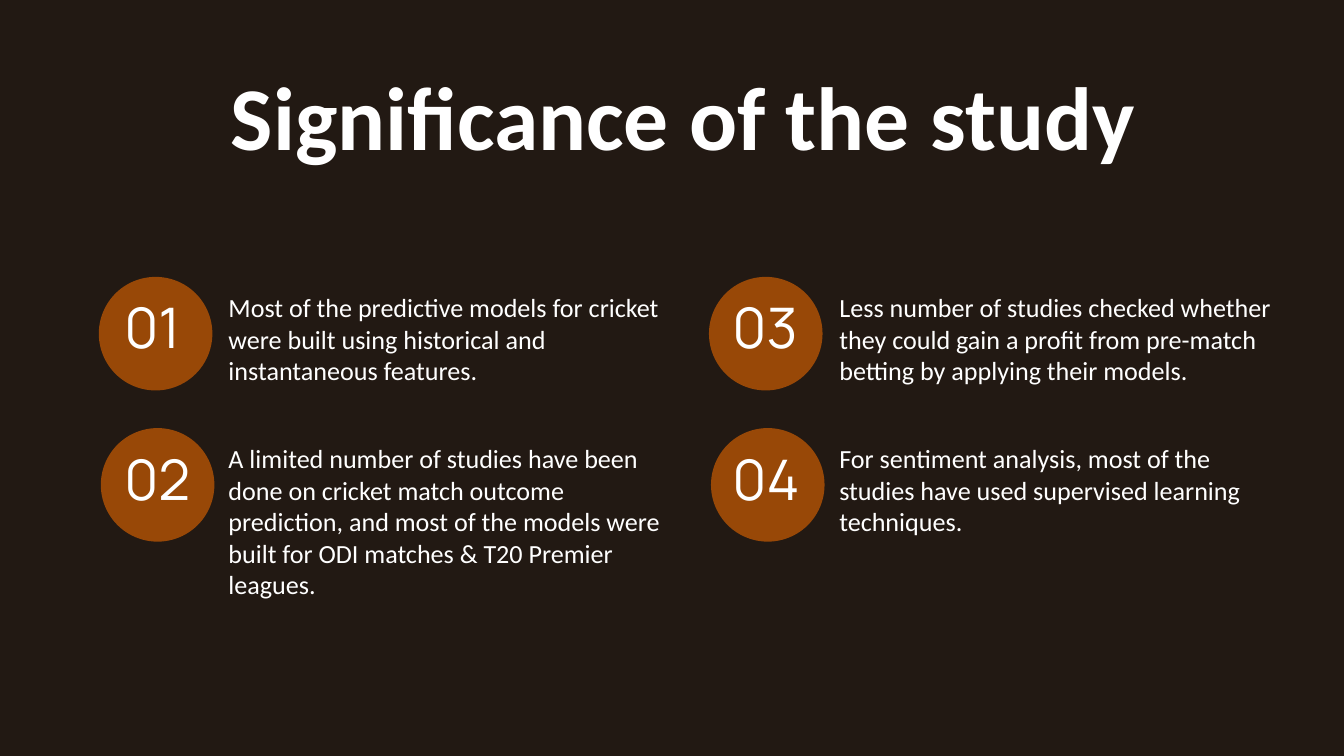
from pptx import Presentation
from pptx.dml.color import RGBColor
from pptx.enum.shapes import MSO_SHAPE
from pptx.enum.text import PP_ALIGN
from pptx.util import Inches, Pt

OVAL = MSO_SHAPE.OVAL
LEFT, CENTER = PP_ALIGN.LEFT, PP_ALIGN.CENTER

BACKGROUND, ACCENT, WHITE = "221913", "984807", "FFFFFF"
BODY_FONT, NUMBER_FONT = "Calibri", "Manrope"

FINDINGS = [
    "Most of the predictive models for cricket were built using historical "
    "and instantaneous features.",
    "A limited number of studies have been done on cricket match outcome "
    "prediction, and most of the models were built for ODI matches & T20 "
    "Premier leagues.",
    "Less number of studies checked whether they could gain a profit from "
    "pre-match betting by applying their models.",
    "For sentiment analysis, most of the studies have used supervised "
    "learning techniques.",
]
ROWS = 2
ROW_STEP = 2.25
CIRCLE_SIZE = 1.69
CIRCLE_ROW_SHIFT = 0.03
# Left edges of circle, number and text in each column
COLUMNS = [(1.47, 1.85, 3.4), (10.55, 10.9, 12.49)]


def color(hex_string):
    return RGBColor.from_string(hex_string)


class SlideBuilder:
    """Holds the style and the current slide."""

    def __init__(self, slide):
        self.slide = slide

    def background(self, fill):
        self.slide.background.fill.solid()
        self.slide.background.fill.fore_color.rgb = color(fill)

    def circle(self, left, top, size, fill=ACCENT):
        shape = self.slide.shapes.add_shape(
            OVAL, Inches(left), Inches(top), Inches(size), Inches(size))
        shape.shadow.inherit = False
        shape.fill.solid()
        shape.fill.fore_color.rgb = color(fill)
        shape.line.fill.background()

    def text(self, text, left, top, width, height, *, size=28, spacing=33.6,
             font=BODY_FONT, bold=False, align=LEFT, fill=WHITE):
        box = self.slide.shapes.add_textbox(
            Inches(left), Inches(top), Inches(width), Inches(height))
        frame = box.text_frame
        frame.word_wrap = True
        frame.margin_left = frame.margin_right = 0
        frame.margin_top = frame.margin_bottom = 0
        paragraph = frame.paragraphs[0]
        paragraph.alignment = align
        paragraph.line_spacing = Pt(spacing)
        run = paragraph.add_run()
        run.text = text
        run.font.name = font
        run.font.size = Pt(size)
        run.font.bold = bold
        run.font.color.rgb = color(fill)


def main():
    presentation = Presentation()
    presentation.slide_width = Inches(20)
    presentation.slide_height = Inches(11.25)
    slide = presentation.slides.add_slide(presentation.slide_layouts[6])
    builder = SlideBuilder(slide)
    builder.background(BACKGROUND)

    # Title
    builder.text("Significance of the study", 3.41, 0.83, 13.51, 1.63,
                 size=96, spacing=121.1, bold=True, align=CENTER)

    # Numbered findings, filled column by column
    for index, finding in enumerate(FINDINGS):
        column, row = divmod(index, ROWS)
        circle_left, number_left, text_left = COLUMNS[column]
        offset = row * ROW_STEP
        builder.circle(circle_left + row * CIRCLE_ROW_SHIFT, 4.12 + offset,
                       CIRCLE_SIZE)
        builder.text(f"{index + 1:02d}", number_left, 4.51 + offset, 1.71, 0.95,
                     size=59.9, spacing=61.1, font=NUMBER_FONT)
        builder.text(finding, text_left, 4.34 + offset, 6.69, 1.41)

    presentation.save("out.pptx")


if __name__ == "__main__":
    main()
